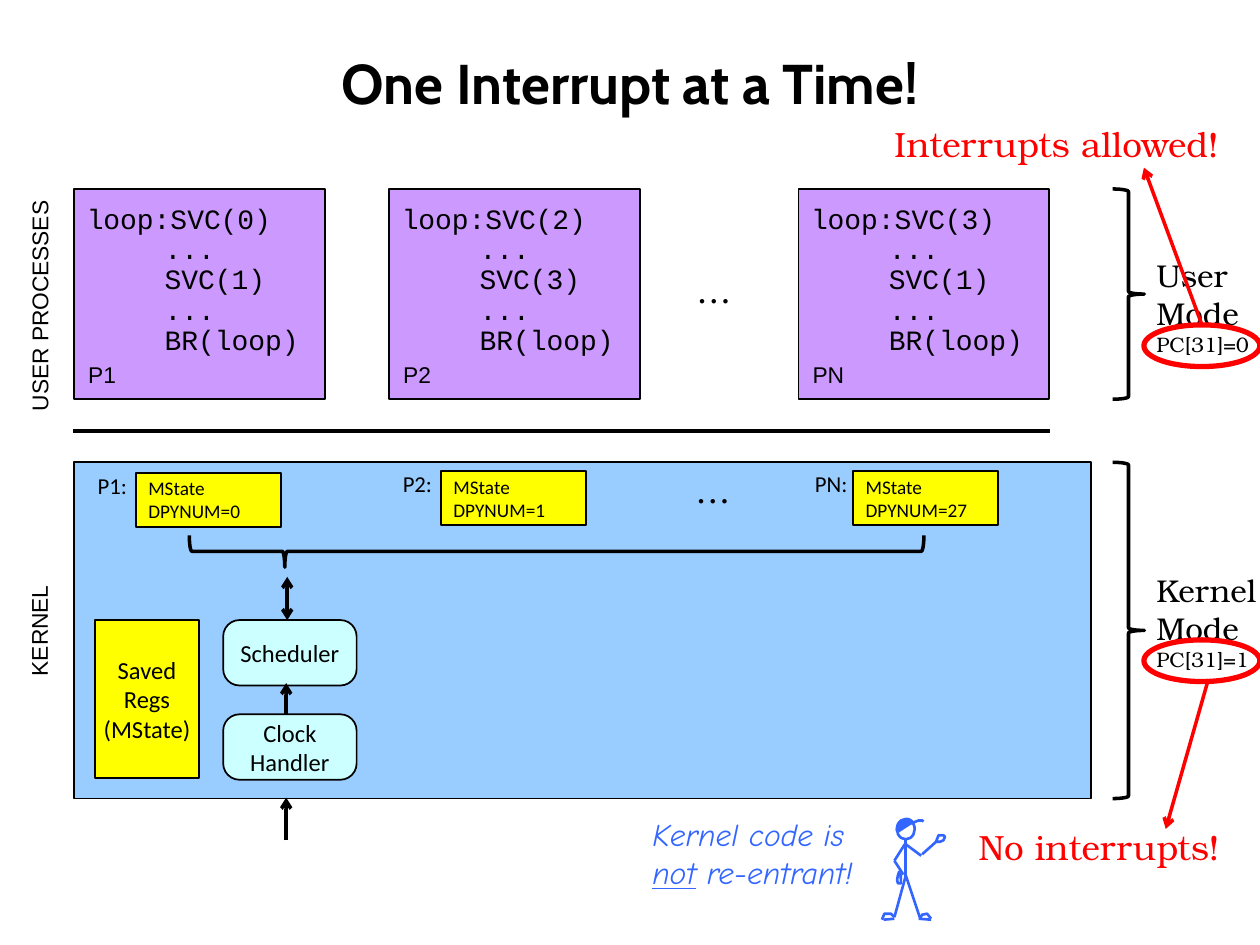
from lxml import etree
from pptx import Presentation
from pptx.dml.color import RGBColor
from pptx.enum.shapes import MSO_CONNECTOR, MSO_SHAPE
from pptx.enum.text import MSO_ANCHOR, MSO_AUTO_SIZE, PP_ALIGN
from pptx.oxml.ns import qn
from pptx.util import Cm, Pt

RECTANGLE, ROUNDED = MSO_SHAPE.RECTANGLE, MSO_SHAPE.ROUNDED_RECTANGLE
BRACE, OVAL = MSO_SHAPE.RIGHT_BRACE, MSO_SHAPE.OVAL
STRAIGHT = MSO_CONNECTOR.STRAIGHT
TOP, MIDDLE = MSO_ANCHOR.TOP, MSO_ANCHOR.MIDDLE
LEFT, CENTER = PP_ALIGN.LEFT, PP_ALIGN.CENTER
BLACK, RED, BLUE = "000000", "FF0000", "3366FF"
YELLOW, PURPLE, SKY, AQUA = "FFFF00", "CC99FF", "99CCFF", "CCFFFF"
SERIF = "TeX Gyre Bonum"
TIGHT = {"spacing": 0.9, "margins": (0.3, 0.15)}


def paint(shape, fill=None, line=BLACK, width=1):
    """Set fill and outline from hex strings and drop the shadow."""
    shape.shadow.inherit = False
    if fill:
        shape.fill.solid()
        shape.fill.fore_color.rgb = RGBColor.from_string(fill)
    else:
        shape.fill.background()
    shape.line.color.rgb = RGBColor.from_string(line)
    shape.line.width = Pt(width)


def write_text(shape, text, font="Calibri", size=14, color=BLACK, bold=False, italic=False,
               align=LEFT, anchor=TOP, spacing=1.0, margins=(0.25, 0.13), wrap=False, grow=True):
    """Write one paragraph per line of text; parts between bars are underlined."""
    frame = shape.text_frame
    frame.word_wrap = wrap
    frame.auto_size = MSO_AUTO_SIZE.SHAPE_TO_FIT_TEXT if grow else MSO_AUTO_SIZE.NONE
    frame.vertical_anchor = anchor
    frame.margin_left = frame.margin_right = Cm(margins[0])
    frame.margin_top = frame.margin_bottom = Cm(margins[1])
    for index, line in enumerate(text.split("\n")):
        paragraph = frame.add_paragraph() if index else frame.paragraphs[0]
        paragraph.alignment = align
        paragraph.line_spacing = spacing
        for position, part in enumerate(line.split("|")):
            run = paragraph.add_run()
            run.text = part
            run.font.name, run.font.size = font, Pt(size)
            run.font.bold, run.font.italic = bold, italic
            run.font.underline = position % 2 == 1
            run.font.color.rgb = RGBColor.from_string(color)


presentation = Presentation()
presentation.slide_width, presentation.slide_height = Cm(25.4), Cm(19.05)
slide = presentation.slides.add_slide(presentation.slide_layouts[5])
shapes = slide.shapes

title = shapes.title
title.left, title.top, title.width, title.height = Cm(1.27), Cm(0.76), Cm(22.86), Cm(1.78)
write_text(title, "One Interrupt at a Time!", font="Cabin", size=32, bold=True,
           align=CENTER, anchor=MIDDLE, wrap=True, grow=False)

kernel = shapes.add_shape(RECTANGLE, Cm(1.5), Cm(9.32), Cm(20.5), Cm(6.78))
paint(kernel, SKY)

# User processes and their saved states in the kernel
processes = [
    ("P1", 1.5, 0, 1, 2.74, 9.53, 0),
    ("P2", 7.85, 2, 3, 8.89, 9.5, 1),
    ("PN", 16.1, 3, 1, 17.2, 9.5, 27),
]
for name, left, first_call, second_call, state_left, state_top, display in processes:
    process = shapes.add_shape(RECTANGLE, Cm(left), Cm(3.81), Cm(5.05), Cm(4.24))
    paint(process, PURPLE)
    label = shapes.add_textbox(Cm(left - 0.02), Cm(7.19), Cm(1.4), Cm(0.81))
    write_text(label, name, font="Arial", size=13, **TIGHT)
    code = shapes.add_textbox(Cm(left), Cm(4.01), Cm(4.85), Cm(3.3))
    write_text(code, f"loop:SVC({first_call})\n...\nSVC({second_call})\n...\nBR(loop)",
               font="Courier New", size=16, spacing=0.9, wrap=True)
    for paragraph in code.text_frame.paragraphs[1:]:
        properties = paragraph._p.get_or_add_pPr()
        properties.set("marL", str(Cm(1.57)))
        properties.set("indent", "0")

    state = shapes.add_shape(RECTANGLE, Cm(state_left), Cm(state_top), Cm(2.92), Cm(1.09))
    paint(state, YELLOW)
    write_text(state, f"MState\nDPYNUM={display}", size=11, anchor=MIDDLE, grow=False)
    state_label = shapes.add_textbox(Cm(state_left - 1.07), Cm(state_top - 0.11),
                                     Cm(1.4), Cm(0.81))
    write_text(state_label, f"{name}:", size=13, **TIGHT)

for left, top in [(13.79, 5.28), (13.77, 9.32)]:
    ellipsis = shapes.add_textbox(Cm(left), Cm(top), Cm(1.22), Cm(1.12))
    write_text(ellipsis, "…", font=SERIF, size=20)

for text, left, top, width in [("USER PROCESSES", -1.63, 5.72, 4.93),
                               ("KERNEL", -0.43, 12.27, 2.51)]:
    side_label = shapes.add_textbox(Cm(left), Cm(top), Cm(width), Cm(0.81))
    side_label.rotation = 270
    write_text(side_label, text, font="Arial", size=13, **TIGHT)

# Kernel parts
for text, kind, left, top, width, height, fill in [
    ("Clock\nHandler", ROUNDED, 4.5, 14.4, 2.69, 1.32, AQUA),
    ("Scheduler", ROUNDED, 4.5, 12.5, 2.69, 1.32, AQUA),
    ("Saved\nRegs\n(MState)", RECTANGLE, 1.91, 12.5, 2.11, 3.18, YELLOW),
]:
    part = shapes.add_shape(kind, Cm(left), Cm(top), Cm(width), Cm(height))
    if kind == ROUNDED:
        part.adjustments[0] = 0.25
    paint(part, fill)
    write_text(part, text, align=CENTER, anchor=MIDDLE, grow=False)

state_brace = shapes.add_shape(BRACE, Cm(10.9), Cm(3.71), Cm(0.64), Cm(14.81))
state_brace.rotation = 90
state_brace.adjustments[1] = 0.87
paint(state_brace, width=2)

# Processor modes with their interrupt rules
for mode, bit, brace_top, brace_height, mode_top, oval_top, rule, rule_left, rule_top, rule_width in [
    ("User", 0, 3.81, 4.24, 5.03, 6.55, "Interrupts allowed!", 17.78, 2.34, 7.11),
    ("Kernel", 1, 9.32, 6.78, 11.38, 12.9, "No interrupts!", 19.48, 16.51, 5.41),
]:
    brace = shapes.add_shape(BRACE, Cm(22.43), Cm(brace_top), Cm(0.64), Cm(brace_height))
    paint(brace, width=2)
    mode_label = shapes.add_textbox(Cm(23.06), Cm(mode_top), Cm(2.75), Cm(2.31))
    write_text(mode_label, f"{mode}\nMode\nPC[31]={bit}", font=SERIF, size=18)
    mode_label.text_frame.paragraphs[2].runs[0].font.size = Pt(12)
    rule_label = shapes.add_textbox(Cm(rule_left), Cm(rule_top), Cm(rule_width), Cm(1.12))
    write_text(rule_label, rule, font=SERIF, size=20, color=RED)
    oval = shapes.add_shape(OVAL, Cm(23.06), Cm(oval_top), Cm(2.34), Cm(0.84))
    paint(oval, line=RED, width=3)

# Stick figure and its remark
remark = shapes.add_textbox(Cm(12.9), Cm(16.31), Cm(5.08), Cm(1.8))
write_text(remark, "Kernel code is |not| re-entrant!", font="Comic Neue", size=18,
           color=BLUE, italic=True, wrap=True)
head = shapes.add_shape(OVAL, Cm(18.08), Cm(16.51), Cm(0.36), Cm(0.41))
paint(head, line=BLUE, width=1.5)
outlines = [  # points, closed, fill, rotation
    ([(18.77, 18.52), (18.69, 18.42), (18.59, 18.44), (18.54, 18.52)], False, None, 0),
    ([(17.78, 18.54), (17.83, 18.42), (17.96, 18.42), (18.03, 18.49)], False, None, 0),
    ([(18.87, 16.97), (18.92, 16.84), (19.02, 16.84), (19.05, 16.87), (19.02, 16.94),
      (18.95, 16.97)], True, None, 0),
    ([(18.24, 17.63), (18.16, 17.65), (18.08, 17.68), (18.03, 17.73), (18.06, 17.78),
      (18.11, 17.75), (18.19, 17.7)], True, None, 300.7),
    ([(18.11, 16.76), (18.34, 16.61), (18.52, 16.54), (18.59, 16.54), (18.62, 16.56)],
     False, None, 0),
    ([(18.08, 16.74), (18.11, 16.61), (18.21, 16.54), (18.31, 16.51), (18.36, 16.54),
      (18.39, 16.56), (18.24, 16.66)], True, BLUE, 0),
]
for points, closed, fill, rotation in outlines:
    corners = [(Cm(x), Cm(y)) for x, y in points]
    builder = shapes.build_freeform(*corners[0])
    builder.add_line_segments(corners[1:], close=closed)
    outline = builder.convert_to_shape()
    outline.rotation = rotation
    paint(outline, fill, BLUE, 1.5)

limbs = [
    (18.26, 16.92, 18.26, 17.65), (18.26, 17.65, 18.54, 18.49), (18.26, 17.65, 18.03, 18.49),
    (18.52, 18.52, 18.77, 18.54), (18.03, 18.52, 17.81, 18.54), (18.26, 17.02, 18.57, 17.25),
    (18.59, 17.22, 18.87, 16.97), (18.24, 17.02, 18.03, 17.35), (18.03, 17.35, 18.21, 17.63),
]
lines = [  # start, end, colour, width, arrowheads
    (1.47, 8.69, 21.16, 8.69, BLACK, 2, []),
    (5.77, 16.94, 5.77, 16.08, BLACK, 2, ["tailEnd"]),
    (5.77, 14.4, 5.77, 13.77, BLACK, 2, ["tailEnd"]),
    (5.79, 12.5, 5.79, 11.63, BLACK, 2, ["headEnd", "tailEnd"]),
    (24.23, 6.55, 23.06, 3.38, RED, 2, ["tailEnd"]),
    (24.36, 13.69, 23.5, 16.71, RED, 2, ["tailEnd"]),
] + [(*limb, BLUE, 1.5, []) for limb in limbs]
for x1, y1, x2, y2, color, width, arrowheads in lines:
    connector = shapes.add_connector(STRAIGHT, Cm(x1), Cm(y1), Cm(x2), Cm(y2))
    connector.line.color.rgb = RGBColor.from_string(color)
    connector.line.width = Pt(width)
    properties = connector._element.spPr
    for arrowhead in arrowheads:
        etree.SubElement(properties.find(qn("a:ln")), qn(f"a:{arrowhead}"), type="arrow")
    etree.SubElement(properties, qn("a:effectLst"))

presentation.save("out.pptx")
